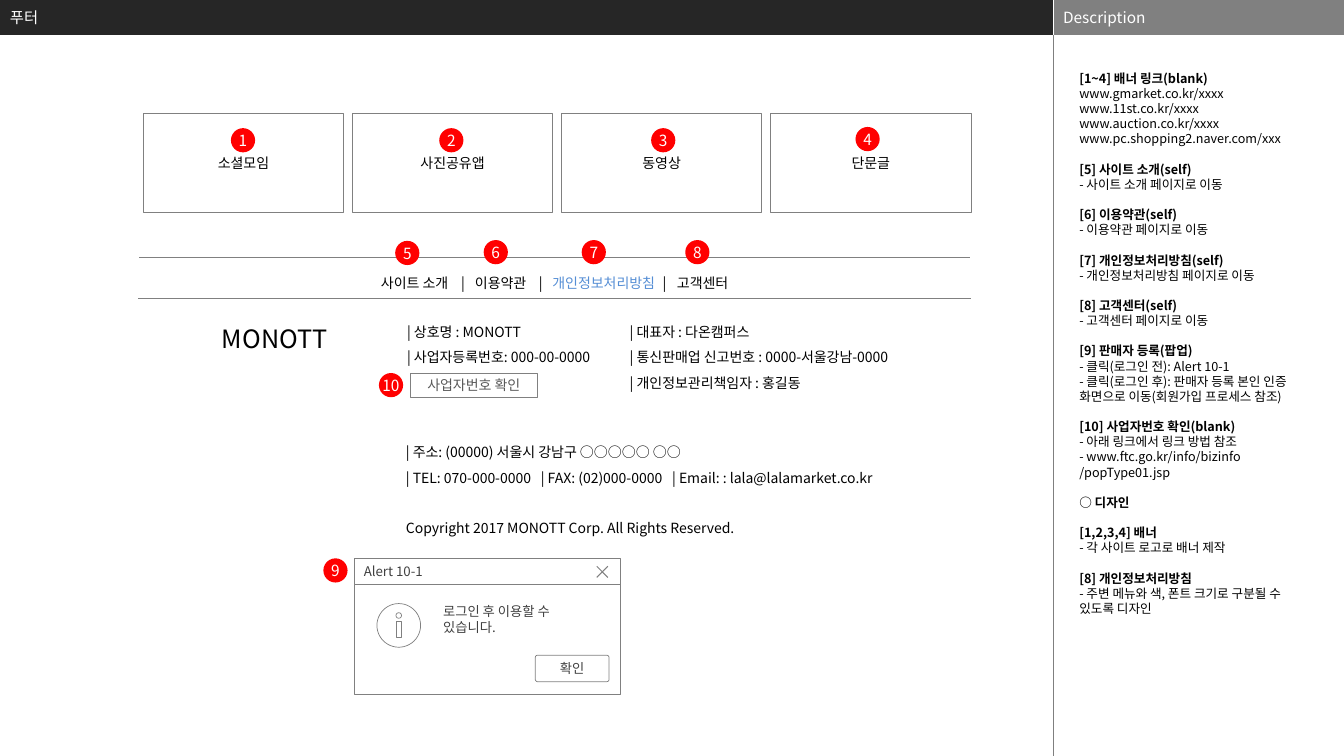
from lxml import etree
from pptx import Presentation
from pptx import util as u
from pptx.dml.color import RGBColor
from pptx.enum import shapes, text
from pptx.oxml.ns import qn

Cm, Pt = u.Cm, u.Pt
FONT = "Noto Sans CJK KR"
COLORS = {
    "black": "000000", "white": "FFFFFF", "bar": "262626", "gray": "808080",
    "divider": "7F7F7F", "badge": "FF0000", "link": "558ED5",
    "button": "595959", "alert": "404040",
}
BANNERS = ["소셜모임", "사진공유앱", "동영상", "단문글"]
MENU = [("사이트 소개\t|\t이용약관\t|\t", "black"), ("개인정보처리방침", "link"),
        ("\t|\t고객센터", "black")]
MENU_TABS = [2.02, 2.37, 3.98, 4.32, 7.1, 7.46]
COMPANY = ["| 상호명 : MONOTT", "| 사업자등록번호: 000-00-0000"]
OWNER = ["| 대표자 : 다온캠퍼스", "| 통신판매업 신고번호 : 0000-서울강남-0000",
         "| 개인정보관리책임자 : 홍길동"]
ADDRESS = [
    "| 주소: (00000) 서울시 강남구 ○○○○○ ○○",
    "| TEL: 070-000-0000\t| FAX: (02)000-0000\t| Email: : lala@lalamarket.co.kr",
]
ADDRESS_TABS = [3.4, 6.71]
COPYRIGHT = "Copyright 2017 MONOTT Corp. All Rights Reserved."
# label: left, top
BADGES = {
    "1": (5.82, 3.23), "2": (11.07, 3.23), "3": (16.41, 3.23), "4": (21.56, 3.2),
    "5": (9.96, 6.07), "6": (12.19, 6.05), "7": (14.66, 6.05), "8": (17.27, 6.05),
    "9": (8.15, 14.07), "10": (9.55, 9.4),
}
DESCRIPTION = [
    ("[1~4] 배너 링크(blank)", ["www.gmarket.co.kr/xxxx", "www.11st.co.kr/xxxx",
                            "www.auction.co.kr/xxxx", "www.pc.shopping2.naver.com/xxx"]),
    ("[5] 사이트 소개(self)", ["- 사이트 소개 페이지로 이동"]),
    ("[6] 이용약관(self)", ["- 이용약관 페이지로 이동"]),
    ("[7] 개인정보처리방침(self)", ["- 개인정보처리방침 페이지로 이동"]),
    ("[8] 고객센터(self)", ["- 고객센터 페이지로 이동"]),
    ("[9] 판매자 등록(팝업)", [
        "- 클릭(로그인 전): Alert 10-1",
        "- 클릭(로그인 후): 판매자 등록 본인 인증 화면으로 이동(회원가입 프로세스 참조)"]),
    ("[10] 사업자번호 확인(blank)", ["- 아래 링크에서 링크 방법 참조",
                              "- www.ftc.go.kr/info/bizinfo", "/popType01.jsp"]),
    ("○ 디자인", []),
    ("[1,2,3,4] 배너", ["- 각 사이트 로고로 배너 제작"]),
    ("[8] 개인정보처리방침", ["- 주변 메뉴와 색, 폰트 크기로 구분될 수 있도록 디자인"]),
]

presentation = Presentation()
presentation.slide_width, presentation.slide_height = Cm(33.87), Cm(19.05)
slide = presentation.slides.add_slide(presentation.slide_layouts[6])


def rgb(name):
    return RGBColor.from_string(COLORS[name])


def write(frame, paragraphs, size=10, color="black", align="LEFT", anchor="TOP",
          spacing=None, before=(), bold=(), tabs=(), margins=None, wrap=True):
    """Fill a frame; each paragraph is a string or a list of (string, color)."""
    frame.word_wrap = wrap
    frame.vertical_anchor = text.MSO_ANCHOR[anchor]
    if margins:
        (frame.margin_left, frame.margin_top,
         frame.margin_right, frame.margin_bottom) = map(Cm, margins)
    for index, content in enumerate(paragraphs):
        paragraph = frame.paragraphs[0] if index == 0 else frame.add_paragraph()
        paragraph.alignment = text.PP_ALIGN[align]
        if spacing:
            paragraph.line_spacing = spacing
        if index in before:
            paragraph.space_before = Pt(before[index])
        if tabs:
            tab_list = etree.SubElement(paragraph._p.get_or_add_pPr(), qn("a:tabLst"))
            for tab in tabs:
                etree.SubElement(tab_list, qn("a:tab"), pos=str(Cm(tab)), algn="l")
        runs = [(content, color)] if isinstance(content, str) else content
        for words, run_color in runs:
            run = paragraph.add_run()
            run.text = words
            font = run.font
            font.name, font.size, font.bold = FONT, Pt(size), index in bold
            font.color.rgb = rgb(run_color)
            for tag in ("a:ea", "a:cs"):
                etree.SubElement(run._r.get_or_add_rPr(), qn(tag), typeface=FONT)


def add_box(left, top, width, height, paragraphs=(), kind="RECTANGLE",
            fill=None, line=None, **style):
    shape = slide.shapes.add_shape(shapes.MSO_SHAPE[kind], *map(Cm, (left, top, width, height)))
    shape.shadow.inherit = False
    if fill:
        shape.fill.solid()
        shape.fill.fore_color.rgb = rgb(fill)
    else:
        shape.fill.background()
    if line:
        shape.line.color.rgb = rgb(line)
        shape.line.width = Pt(0.5)
    else:
        shape.line.fill.background()
    if paragraphs:
        write(shape.text_frame, paragraphs, **{"align": "CENTER", "anchor": "MIDDLE", **style})
    return shape


def add_text(left, top, width, height, paragraphs, **style):
    box = slide.shapes.add_textbox(*map(Cm, (left, top, width, height)))
    write(box.text_frame, paragraphs, **style)


def add_line(x1, y1, x2, y2, color, width):
    connector = slide.shapes.add_connector(
        shapes.MSO_CONNECTOR.STRAIGHT, *map(Cm, (x1, y1, x2, y2)))
    connector.line.color.rgb = rgb(color)
    connector.line.width = Pt(width)
    etree.SubElement(connector._element.spPr, qn("a:effectLst"))


def add_menu():
    table = slide.shapes.add_table(1, 1, Cm(3.5), Cm(6.48), Cm(20.95), Cm(0.89)).table
    table.first_row = table.horz_banding = False
    table.rows[0].height = Cm(1.03)
    cell = table.cell(0, 0)
    write(cell.text_frame, [MENU], spacing=1.5, tabs=MENU_TABS)
    cell.vertical_anchor = text.MSO_ANCHOR.MIDDLE
    cell.margin_left = Cm(6.1)
    properties = cell._tc.get_or_add_tcPr()
    for side, color, width in (("L", "white", 1), ("R", "white", 1),
                               ("T", "gray", 0.5), ("B", "gray", 0.5)):
        border = etree.SubElement(properties, qn("a:ln" + side), w=str(Pt(width)))
        solid = etree.SubElement(border, qn("a:solidFill"))
        etree.SubElement(solid, qn("a:srgbClr"), val=COLORS[color])
    cell.fill.background()


def add_description():
    lines, titles = [], []
    for title, details in DESCRIPTION:
        titles.append(len(lines))
        lines += [title, *details]
    add_text(27.1, 1.78, 5.97, 17.2, lines, size=9, bold=titles,
             before={index: 10.8 for index in titles[1:]}, margins=(0.1, 0, 0.1, 0))


def add_alert(left, top, width):
    title_height = 0.66
    add_box(left, top + title_height, width, 2.77, fill="white", line="gray")
    add_box(left, top, width, title_height, ["Alert 10-1"], fill="white", line="gray",
            size=9.5, color="alert", align="LEFT", margins=(0.25, 0.13, 0.64, 0.13))
    add_text(left + 2.05, top + 1.04, 4.11, 1.19, ["로그인 후 이용할 수 있습니다."],
             size=9.5, color="alert", margins=(0.2, 0.1, 0.2, 0.1))
    x, y, size = left + 6.12, top + 0.2, 0.28
    add_line(x, y, x + size, y + size, "gray", 0.75)
    add_line(x, y + size, x + size, y, "gray", 0.75)
    center = left + 1.13
    for kind, offset, w, h in (("OVAL", 1.14, 1.1, 1.1), ("OVAL", 1.37, 0.14, 0.14),
                               ("RECTANGLE", 1.6, 0.13, 0.4)):
        add_box(center - w / 2, top + offset, w, h, kind=kind, line="gray")
    button = add_box(left + 4.57, top + 2.44, 1.86, 0.67, ["확인"], kind="ROUNDED_RECTANGLE",
                     fill="white", line="gray", size=9.5, color="alert")
    button.adjustments[0] = 0.09


bar_height, panel_left, panel_width = 0.88, 26.54, 7.33
add_box(0, 0, panel_left, bar_height, ["푸터"], fill="bar", size=11, color="white", align="LEFT")
add_box(panel_left, 0, panel_width, bar_height, ["Description"], fill="gray",
        size=11, color="white", align="LEFT")
add_line(panel_left, 0, panel_left, bar_height, "white", 0.25)
add_line(panel_left, bar_height, panel_left, 19.05, "divider", 0.25)
add_description()

for column, banner in enumerate(BANNERS):
    add_box(3.61 + 5.27 * column, 2.87, 5.05, 2.49, [banner], line="gray")
add_menu()
add_text(5.21, 8.03, 3.43, 1.02, ["MONOTT"], size=18, align="CENTER")
add_text(10.01, 7.82, 6.12, 1.45, COMPANY, spacing=1.5)
add_text(15.62, 7.82, 8.51, 2.11, OWNER, spacing=1.5)
add_box(10.34, 9.4, 3.2, 0.61, ["사업자번호 확인"], line="gray", color="button")
add_text(9.98, 10.85, 13.77, 2.82, [*ADDRESS, COPYRIGHT], spacing=1.5,
         before={2: 18}, tabs=ADDRESS_TABS)
add_alert(8.92, 14.07, 6.71)

for label, (left, top) in BADGES.items():
    add_box(left, top, 0.61, 0.61, [label], kind="OVAL", fill="badge", size=11,
            color="white", margins=(0, 0, 0, 0), wrap=False)

presentation.save("out.pptx")
